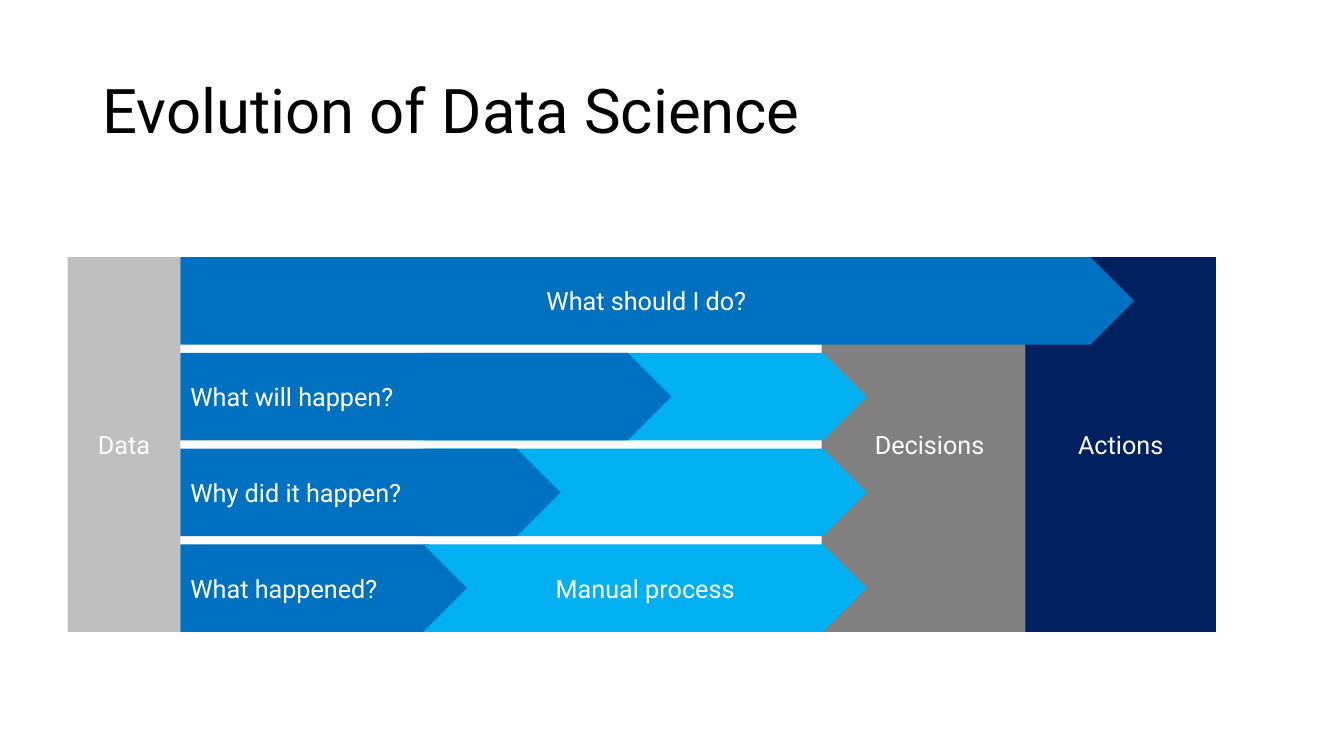
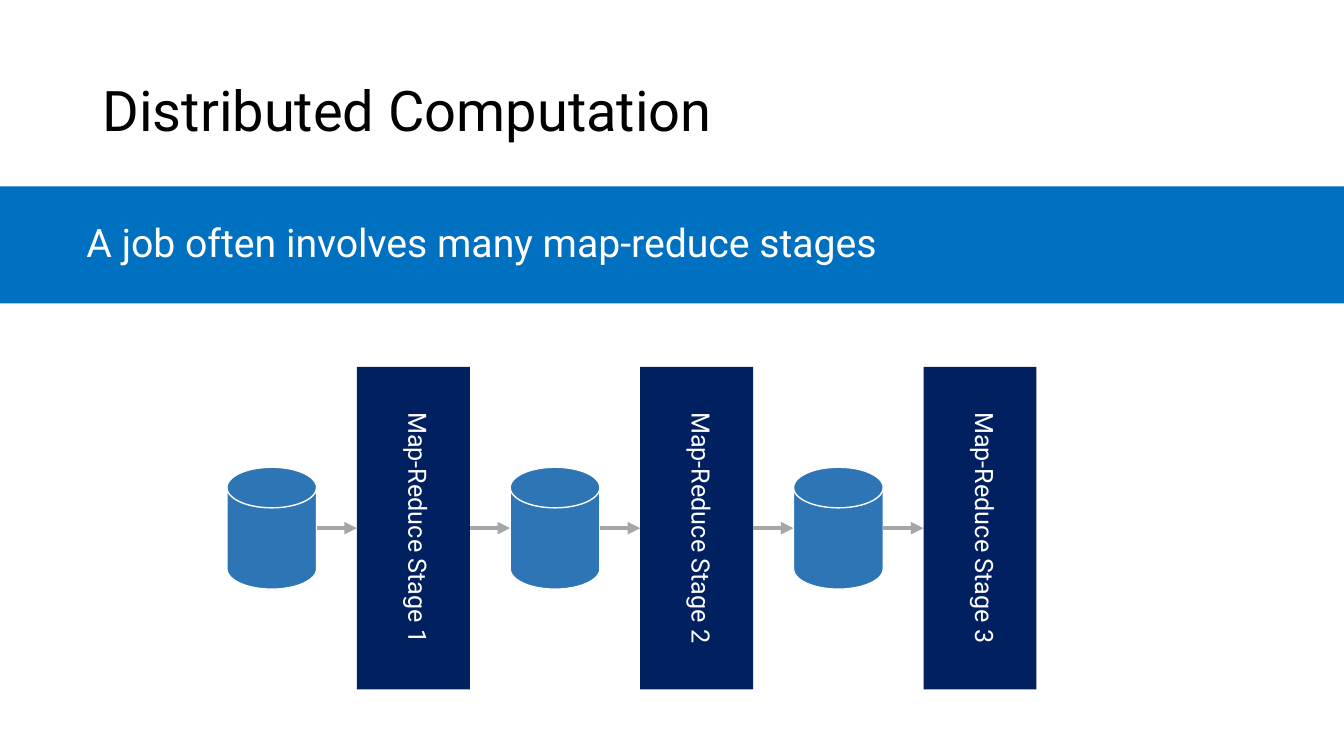
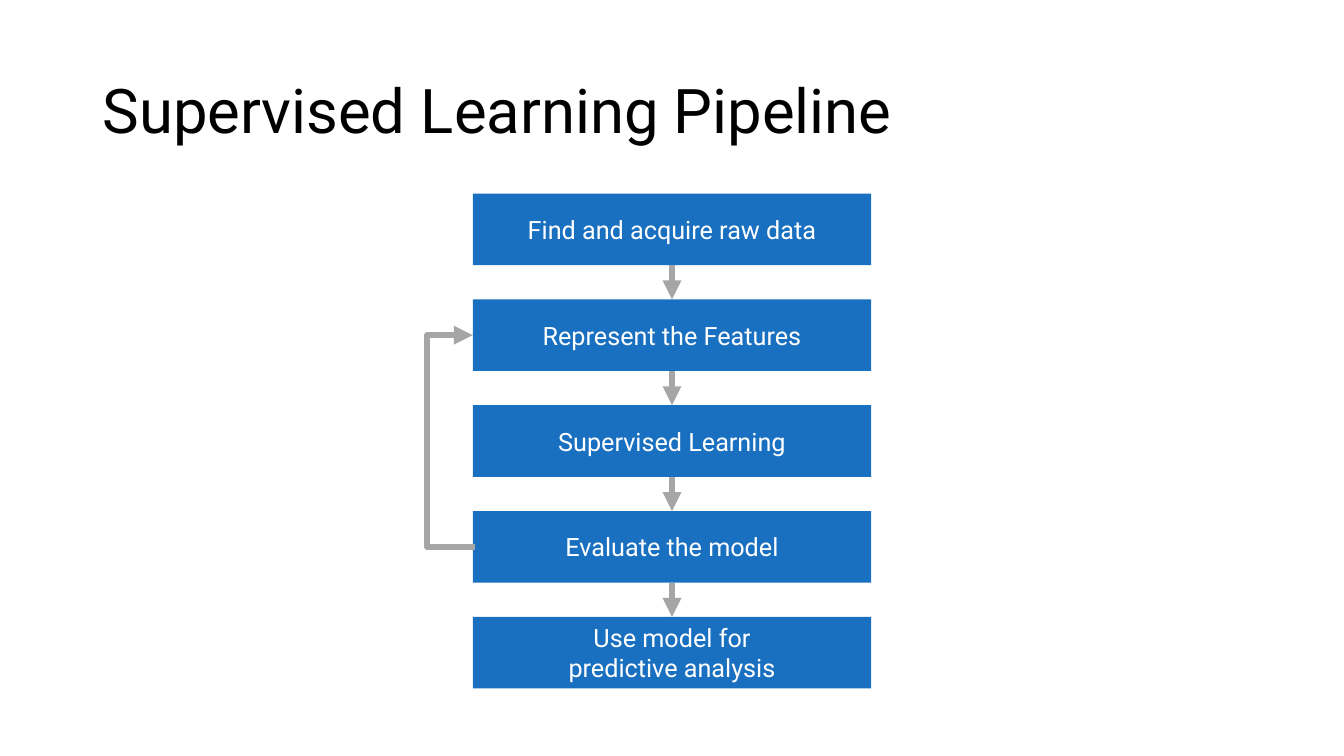
from pptx import Presentation
from pptx.dml.color import RGBColor
from pptx.enum.shapes import MSO_CONNECTOR, MSO_SHAPE
from pptx.enum.text import MSO_ANCHOR, PP_ALIGN
from pptx.oxml.ns import qn
from pptx.util import Inches, Pt
from lxml import etree

RECT, PLATE, CHEVRON = MSO_SHAPE.RECTANGLE, MSO_SHAPE.PENTAGON, MSO_SHAPE.CHEVRON
DISK, ROUNDED = MSO_SHAPE.FLOWCHART_MAGNETIC_DISK, MSO_SHAPE.ROUNDED_RECTANGLE
STRAIGHT, ELBOW = MSO_CONNECTOR.STRAIGHT, MSO_CONNECTOR.ELBOW
MIDDLE, TOP = MSO_ANCHOR.MIDDLE, MSO_ANCHOR.TOP
LEFT, CENTER = PP_ALIGN.LEFT, PP_ALIGN.CENTER

FONT = "Roboto"
BLACK, WHITE = "000000", "FFFFFF"
BLUE, SKY, NAVY = "0070C0", "00B0F0", "002060"
DISK_BLUE, STEP_BLUE = "2E75B5", "1970C0"
LIGHT, MID, ARROW = "BFBFBF", "808080", "A6A6A6"
W, H = 13.33, 7.5
TITLE_BOX = (0.92, 0.4, 11.5, 1.45)


def add_box(s, kind, box, fill=None, text="", size=18, color=WHITE,
            align=CENTER, anchor=MIDDLE, spacing=None):
    pos = [Inches(v) for v in box]
    if kind is None:
        sp = s.shapes.add_textbox(*pos)
    else:
        sp = s.shapes.add_shape(kind, *pos)
        sp.shadow.inherit = False
        sp.fill.solid()
        sp.fill.fore_color.rgb = RGBColor.from_string(fill)
        sp.line.fill.background()
    tf = sp.text_frame
    tf.word_wrap = True
    tf.vertical_anchor = anchor
    for i, line in enumerate(text.split("\n") if text else []):
        p = tf.add_paragraph() if i else tf.paragraphs[0]
        for name, value in {"alignment": align, "line_spacing": spacing}.items():
            setattr(p, name, value)
        r = p.add_run()
        r.text = line
        for name, value in {"name": FONT, "size": Pt(size)}.items():
            setattr(r.font, name, value)
        r.font.color.rgb = RGBColor.from_string(color)
    return sp


def add_arrow(s, x1, y1, x2, y2, width, kind=STRAIGHT):
    c = s.shapes.add_connector(kind, *[Inches(v) for v in (x1, y1, x2, y2)])
    c.line.color.rgb = RGBColor.from_string(ARROW)
    c.line.width = Pt(width)
    etree.SubElement(c.line._get_or_add_ln(), qn("a:tailEnd"), type="triangle")
    etree.SubElement(c._element.spPr, qn("a:effectLst"))
    return c


prs = Presentation()
prs.slide_width, prs.slide_height = Inches(W), Inches(H)
slides = []
for title, size in [("Evolution of Data Science", 44),
                    ("Distributed Computation", 40),
                    ("Supervised Learning Pipeline", 44)]:
    s = prs.slides.add_slide(prs.slide_layouts[6])
    add_box(s, None, TITLE_BOX, text=title, size=size, color=BLACK,
            align=LEFT, spacing=0.9)
    slides.append(s)
evolution, computation, pipeline = slides

top, row_h, pitch = 2.55, 0.87, 0.95
panel_h = row_h + 3 * pitch
for x, w, fill, text in [(8.15, 2.14, MID, "Decisions"),
                         (0.67, 1.12, LIGHT, "Data"),
                         (10.17, 1.89, NAVY, "Actions")]:
    add_box(evolution, RECT, (x, top, w, panel_h), fill, text)
for kind, row, x, w, fill, text, align in [
        (PLATE, 3, 1.79, 2.9, BLUE, "What happened?", LEFT),
        (CHEVRON, 3, 4.2, 4.4, SKY, "Manual process", CENTER),
        (CHEVRON, 2, 4.2, 4.4, SKY, "", CENTER),
        (CHEVRON, 1, 4.2, 4.4, SKY, "", CENTER),
        (PLATE, 2, 1.79, 3.77, BLUE, "Why did it happen?", LEFT),
        (PLATE, 1, 1.79, 4.87, BLUE, "What will happen?", LEFT),
        (PLATE, 0, 1.79, 9.46, BLUE, "What should I do?", CENTER)]:
    add_box(evolution, kind, (x, top + row * pitch, w, row_h), fill, text, align=align)

band_top, band_h = 1.85, 1.16
add_box(computation, RECT, (0, band_top, W, band_h), BLUE)
add_box(computation, None, (0.76, band_top, 10.94, band_h),
        text="A job often involves many map-reduce stages", size=28,
        align=LEFT, spacing=0.9)
disk_w, disk_h, stage_w, stage_h, gap, axis = 0.89, 1.21, 1.12, 3.2, 0.4, 5.24
stages = 3
for i in range(stages):
    disk_x = 2.25 + i * (disk_w + stage_w + 2 * gap)
    stage_x = disk_x + disk_w + gap
    stage_end = stage_x + stage_w
    disk = add_box(computation, DISK, (disk_x, axis - disk_h / 2, disk_w, disk_h), DISK_BLUE)
    disk.line.color.rgb = RGBColor.from_string(WHITE)
    disk.line.width = Pt(1)
    add_box(computation, RECT, (stage_x, axis - stage_h / 2, stage_w, stage_h), NAVY)
    label = add_box(computation, None, (stage_x + 0.31, axis - 1.25, 0.5, 2.5),
                    text=f"Map-Reduce Stage {i + 1}", align=LEFT, anchor=TOP)
    label.text_frame._txBody.bodyPr.set("vert", "eaVert")
    add_arrow(computation, disk_x + disk_w, axis, stage_x, axis, 3)
    if i < stages - 1:
        add_arrow(computation, stage_end, axis, stage_end + gap, axis, 3)

steps = ["Find and acquire raw data", "Represent the Features", "Supervised Learning",
         "Evaluate the model", "Use model for\npredictive analysis"]
step_x, step_w, step_h, step_pitch = 4.69, 3.95, 0.71, 1.05
tops = [1.92 + i * step_pitch for i in range(len(steps))]
for y, text in zip(tops, steps):
    step = add_box(pipeline, ROUNDED, (step_x, y, step_w, step_h), STEP_BLUE, text)
    step.adjustments[0] = 0
loop = add_arrow(pipeline, step_x, tops[1] + step_h / 2,
                 step_x + 0.02, tops[3] + step_h / 2, 4.5, ELBOW)
loop._element.spPr.find(qn("a:xfrm")).set("rot", "10800000")
guides = loop._element.spPr.find(qn("a:prstGeom")).get_or_add_avLst()
etree.SubElement(guides, qn("a:gd"), name="adj1", fmla="val 2350000")
for y in tops[:-1]:
    add_arrow(pipeline, W / 2, y + step_h, W / 2, y + step_pitch, 4.5)

prs.save("out.pptx")
